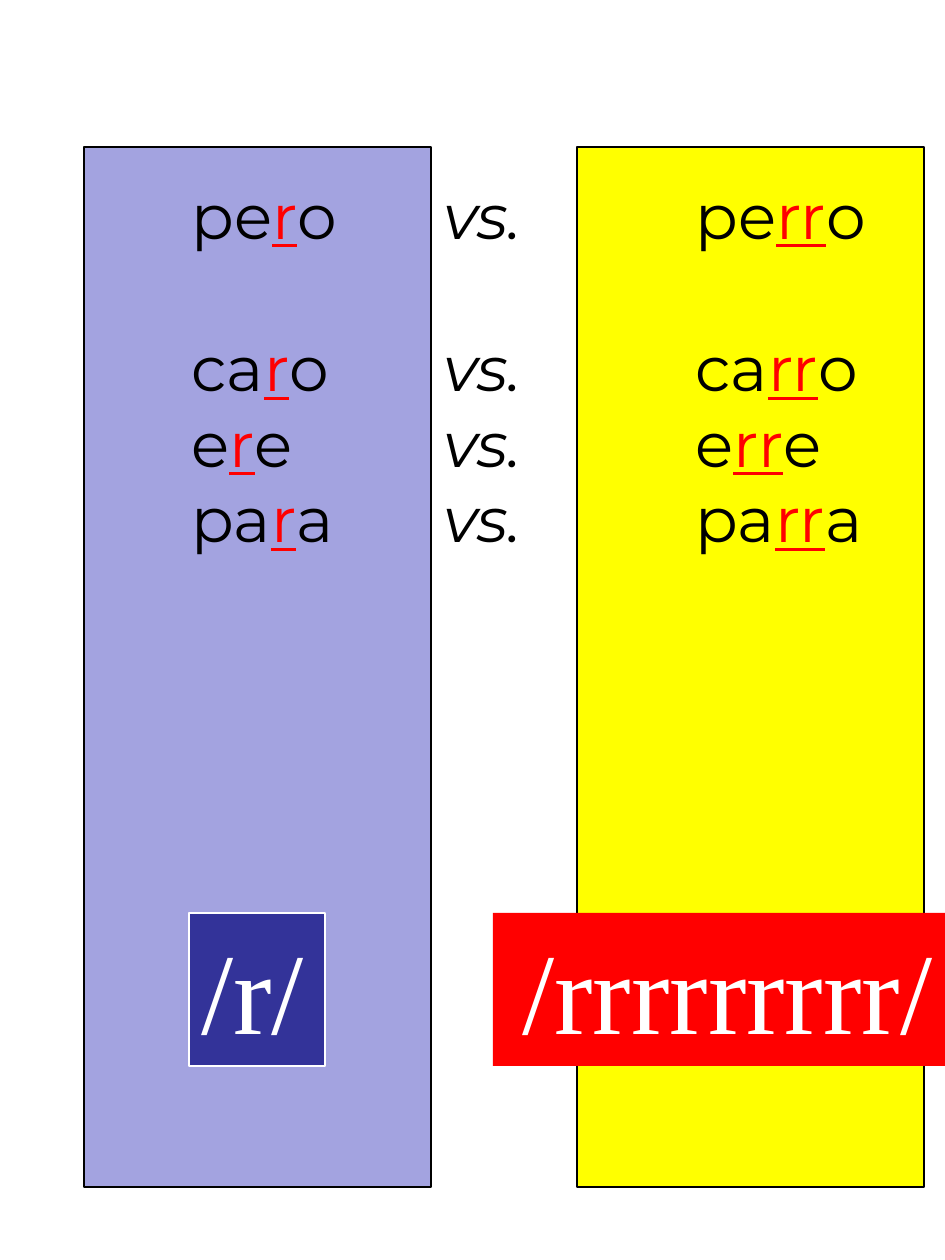
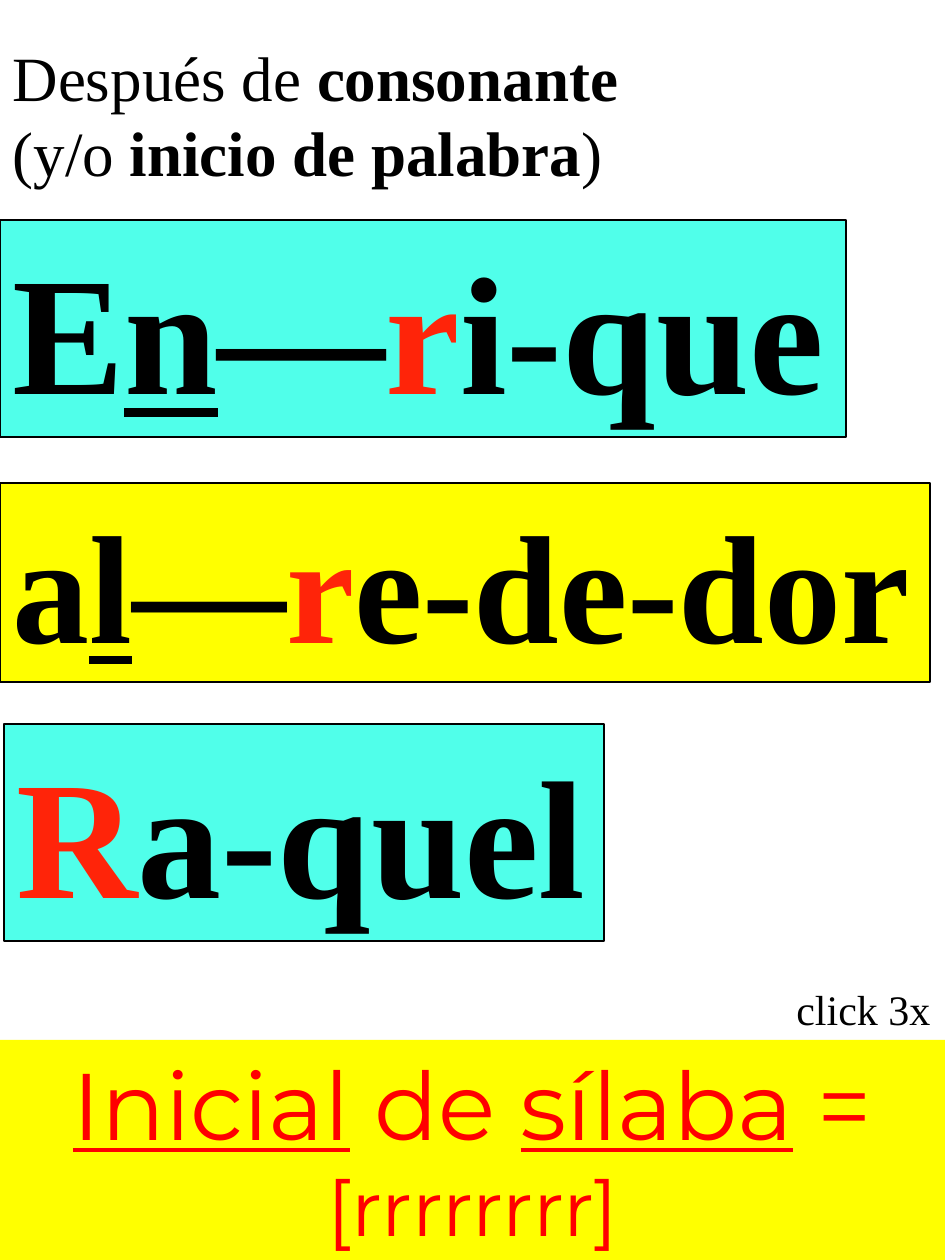
from dataclasses import dataclass
from lxml.etree import SubElement
from pptx import Presentation
from pptx.dml.color import RGBColor
from pptx.enum.shapes import MSO_SHAPE as Shape
from pptx.enum.text import MSO_ANCHOR as Anchor, MSO_AUTO_SIZE as Fit, PP_ALIGN as Align
from pptx.oxml.ns import qn
from pptx.util import Pt

# Content: a run is plain text or (text, style)
PAIRS = [  # before, after, gap above in points
    ("pe", "o", 0),
    ("ca", "o", 44),
    ("e", "e", 0),
    ("pa", "a", 0),
]
SOUNDS = {"soft": "/r/", "hard": "/rrrrrrrrr/"}
HEAD = [
    ["Después de ", ("consonante", "bold")],
    ["(y/o ", ("inicio de palabra", "bold"), ")"],
]
WORDS = [  # runs, fill, type size, box
    (["E", ("n", "under"), "—", ("r", "hot"), "i-que"], "aqua", "word", (0, 220, 846, 217)),
    (["a", ("l", "under"), "—", ("r", "hot"), "e-de-dor"], "yellow", "long", (0, 483, 930, 199)),
    ([("R", "hot"), "a-quel"], "aqua", "word", (4, 724, 600, 217)),
]
HINT = "click 3x"
RULE = [("Inicial", "under"), " de ", ("sílaba", "under"), " = ", ("[rrrrrrrr]", "small")]


@dataclass(frozen=True)
class Theme:
    black: str = "000000"
    white: str = "FFFFFF"
    red: str = "FF0000"
    flame: str = "FF2409"
    yellow: str = "FFFF00"
    aqua: str = "50FFEA"
    lilac: str = "A3A3E0"
    navy: str = "333399"
    serif: str = "Times New Roman"
    sans: str = "Montserrat"
    hint: int = 24
    body: int = 36
    small: int = 44
    rule: int = 54
    sound: int = 66
    long: int = 88
    word: int = 96
    edge: float = 0.75


T = Theme()
STYLES = {
    "bold": {"bold": True},
    "italic": {"italic": True},
    "under": {"underline": True},
    "hot": {"color": T.flame},
    "trill": {"color": T.red, "underline": True},
    "small": {"size": T.small},
}

# Geometry in px
INCH = 126
SCALE = 914400 / INCH
WIDE, HIGH = 945, 1260
TABS = [INCH, 3 * INCH, 5 * INCH]


def emu(px):
    return round(px * SCALE)


def style(font, size=None, color=None, name=None, **flags):
    if size:
        font.size = Pt(size)
    if color:
        font.color.rgb = RGBColor.from_string(color)
    if name:
        font.name = name
    for flag, on in flags.items():
        setattr(font, flag, on)


def write(shape, paras, size, name=T.serif, color=T.black, align=Align.LEFT,
          bold=False, wrap=True, gaps=None, tabs=()):
    """Fill a shape with paragraphs of runs."""
    frame = shape.text_frame
    frame.auto_size, frame.word_wrap = Fit.NONE, wrap
    frame.vertical_anchor = Anchor.TOP
    for i, runs in enumerate(paras):
        para = frame.paragraphs[0] if i == 0 else frame.add_paragraph()
        para.alignment = align
        para.space_before = Pt(gaps[i] if gaps else 0)
        if tabs:
            stops = SubElement(para._p.get_or_add_pPr(), qn("a:tabLst"))
            for tab in tabs:
                SubElement(stops, qn("a:tab"), pos=str(emu(tab)), algn="l")
        base = {"size": size, "name": name, "color": color, "bold": bold}
        for part in runs:
            text, key = part if isinstance(part, tuple) else (part, None)
            run = para.add_run()
            run.text = text
            style(run.font, **{**base, **STYLES.get(key, {})})


def rect(slide, box, fill, line=None):
    shape = slide.shapes.add_shape(Shape.RECTANGLE, *map(emu, box))
    shape.shadow.inherit = False
    shape.fill.solid()
    shape.fill.fore_color.rgb = RGBColor.from_string(fill)
    if line:
        shape.line.color.rgb = RGBColor.from_string(line)
        shape.line.width = Pt(T.edge)
    else:
        shape.line.fill.background()
    return shape


def label(slide, box, paras, size, **fmt):
    write(slide.shapes.add_textbox(*map(emu, box)), paras, size, **fmt)


def contrast(deck):
    slide = deck.slides.add_slide(deck.slide_layouts[6])
    # Columns and sounds
    rect(slide, (577, 147, 347, 1040), T.yellow, T.black)
    hard = rect(slide, (493, 913, 452, 153), T.red)
    write(hard, [[SOUNDS["hard"]]], T.sound, color=T.white, align=Align.RIGHT)
    rect(slide, (84, 147, 347, 1040), T.lilac, T.black)
    # Word pairs
    rows = [["\t" + pre, ("r", "trill"), post + "\t", ("vs.", "italic"),
             "\t" + pre, ("rr", "trill"), post] for pre, post, _ in PAIRS]
    label(slide, (53, 170, 877, 624), rows, T.body, name=T.sans,
          gaps=[gap for *_, gap in PAIRS], tabs=TABS)
    soft = rect(slide, (189, 913, 136, 153), T.navy, T.white)
    write(soft, [[SOUNDS["soft"]]], T.sound, color=T.white)


def initial(deck):
    slide = deck.slides.add_slide(deck.slide_layouts[5])
    # Title
    title = slide.shapes.title
    title.left, title.top, title.width, title.height = map(emu, (0, 32, 636, 165))
    write(title, HEAD, T.body, wrap=False)
    # Example words
    for runs, fill, size, box in WORDS:
        card = rect(slide, box, getattr(T, fill), T.black)
        write(card, [runs], getattr(T, size), bold=True, wrap=False)
    # Hint and rule
    label(slide, (784, 977, 161, 63), [[HINT]], T.hint, wrap=False)
    band = rect(slide, (0, 1040, WIDE, 229), T.yellow)
    write(band, [RULE], T.rule, name=T.sans, color=T.red, align=Align.CENTER)


def main():
    deck = Presentation()
    deck.slide_width, deck.slide_height = emu(WIDE), emu(HIGH)
    contrast(deck)
    initial(deck)
    deck.save("out.pptx")


if __name__ == "__main__":
    main()
